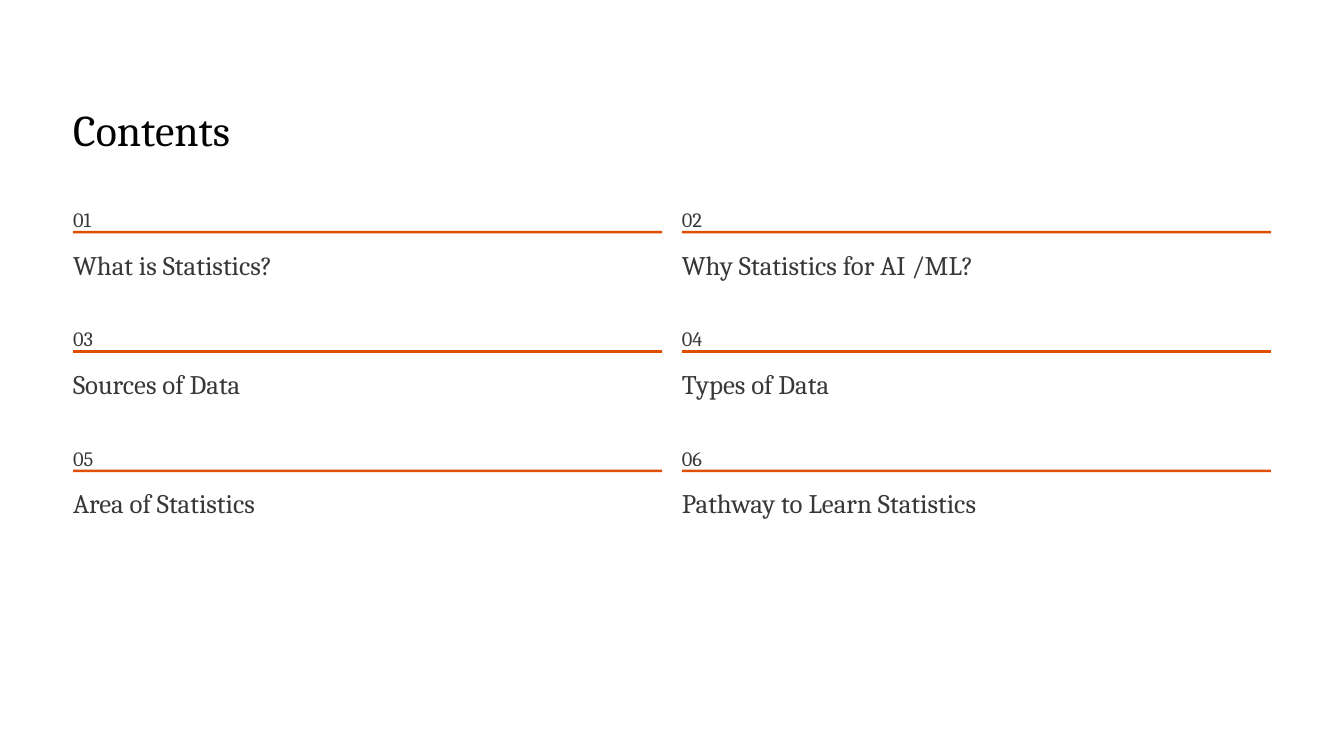
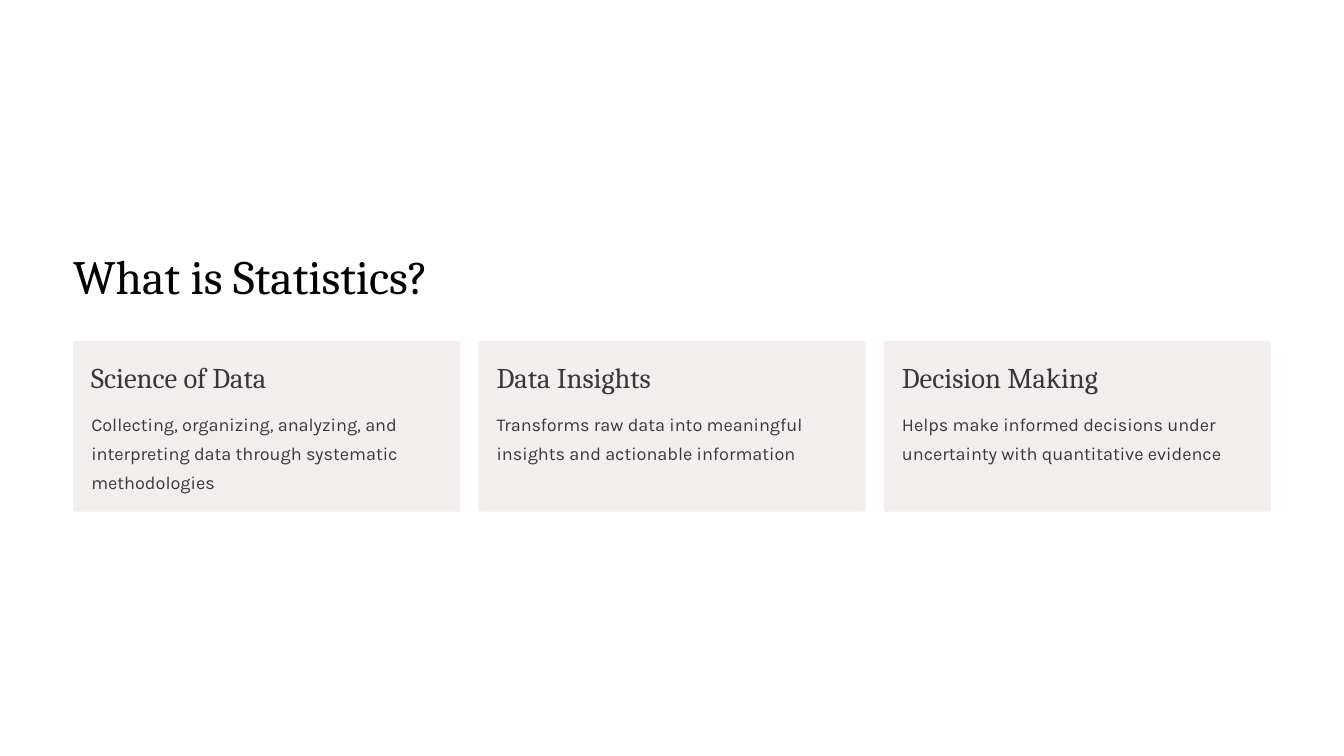
from pptx import Presentation
from pptx.dml.color import RGBColor
from pptx.enum.shapes import MSO_SHAPE
from pptx.util import Cm, Pt

COLORS = {
    "background": "FFFFFF",
    "title": "020202",
    "text": "383838",
    "accent": "E04F00",
    "card": "F2EEEE",
}
HEADING_FONT = "Cambria"
BODY_FONT = "Karla"

# Lengths in centimetres
SLIDE_WIDTH, SLIDE_HEIGHT = 40.64, 22.86
MARGIN = 2.21
CONTENT_WIDTH = SLIDE_WIDTH - 2 * MARGIN

TOPICS = [
    "What is Statistics?",
    "Why Statistics for AI /ML?",
    "Sources of Data",
    "Types of Data",
    "Area of Statistics",
    "Pathway to Learn Statistics",
]
CARDS = [
    ("Science of Data",
     "Collecting, organizing, analyzing, and interpreting data through systematic methodologies"),
    ("Data Insights",
     "Transforms raw data into meaningful insights and actionable information"),
    ("Decision Making",
     "Helps make informed decisions under uncertainty with quantitative evidence"),
]


def split_width(count, gap):
    """Return the width of each of count equal columns, and their left edges."""
    width = (CONTENT_WIDTH - gap * (count - 1)) / count
    return width, [MARGIN + index * (width + gap) for index in range(count)]


class Deck:
    """Holds the presentation, its style and the slide being filled."""

    def __init__(self):
        self.presentation = Presentation()
        self.presentation.slide_width = Cm(SLIDE_WIDTH)
        self.presentation.slide_height = Cm(SLIDE_HEIGHT)
        self.slide = None

    def new_slide(self):
        self.slide = self.presentation.slides.add_slide(self.presentation.slide_layouts[6])
        fill = self.slide.background.fill
        fill.solid()
        fill.fore_color.rgb = RGBColor.from_string(COLORS["background"])

    def text(self, left, top, width, height, content, size, line_spacing,
             font_name=HEADING_FONT, color="text", wrap=False):
        box = self.slide.shapes.add_textbox(Cm(left), Cm(top), Cm(width), Cm(height))
        frame = box.text_frame
        frame.margin_left = frame.margin_top = frame.margin_right = frame.margin_bottom = 0
        frame.word_wrap = wrap
        paragraph = frame.paragraphs[0]
        paragraph.text = content
        paragraph.line_spacing = Pt(line_spacing)
        paragraph.font.name = font_name
        paragraph.font.size = Pt(size)
        paragraph.font.color.rgb = RGBColor.from_string(COLORS[color])

    def title(self, top, width, height, content, size, line_spacing):
        self.text(MARGIN, top, width, height, content, size, line_spacing, color="title")

    def block(self, left, top, width, height, color, kind=MSO_SHAPE.RECTANGLE):
        shape = self.slide.shapes.add_shape(kind, Cm(left), Cm(top), Cm(width), Cm(height))
        shape.shadow.inherit = False
        shape.fill.solid()
        shape.fill.fore_color.rgb = RGBColor.from_string(COLORS[color])
        shape.line.fill.background()
        return shape

    def topic(self, left, top, width, number, name):
        self.text(left, top, 0.64, 0.79, f"{number:02}", 17.5, 28.5)
        self.block(left, top + 0.99, width, 0.08, "accent")
        self.text(left, top + 1.47, 10.67, 1.04, name, 23, 29)

    def card(self, left, top, width, height, heading, body):
        padding = 0.55
        shape = self.block(left, top, width, height, "card", MSO_SHAPE.ROUNDED_RECTANGLE)
        shape.adjustments[0] = 0.016
        self.text(left + padding, top + padding, 8.69, 1.09, heading, 24.5, 30.5)
        self.text(left + padding, top + 1.96, width - 2 * padding, 2.64, body, 15.5, 25,
                  font_name=BODY_FONT, wrap=True)


def build_contents(deck):
    deck.new_slide()
    deck.title(3.07, 13.23, 1.65, "Contents", 37.5, 46.5)
    width, lefts = split_width(2, gap=0.6)
    for index, name in enumerate(TOPICS):
        row, column = divmod(index, 2)
        deck.topic(lefts[column], 5.99 + row * 3.61, width, index + 1, name)


def build_definition(deck):
    deck.new_slide()
    deck.title(7.39, 14.48, 1.8, "What is Statistics?", 41, 51)
    width, lefts = split_width(3, gap=0.55)
    for left, (heading, body) in zip(lefts, CARDS):
        deck.card(left, 10.31, width, 5.16, heading, body)


def main():
    deck = Deck()
    build_contents(deck)
    build_definition(deck)
    deck.presentation.save("out.pptx")


if __name__ == "__main__":
    main()
